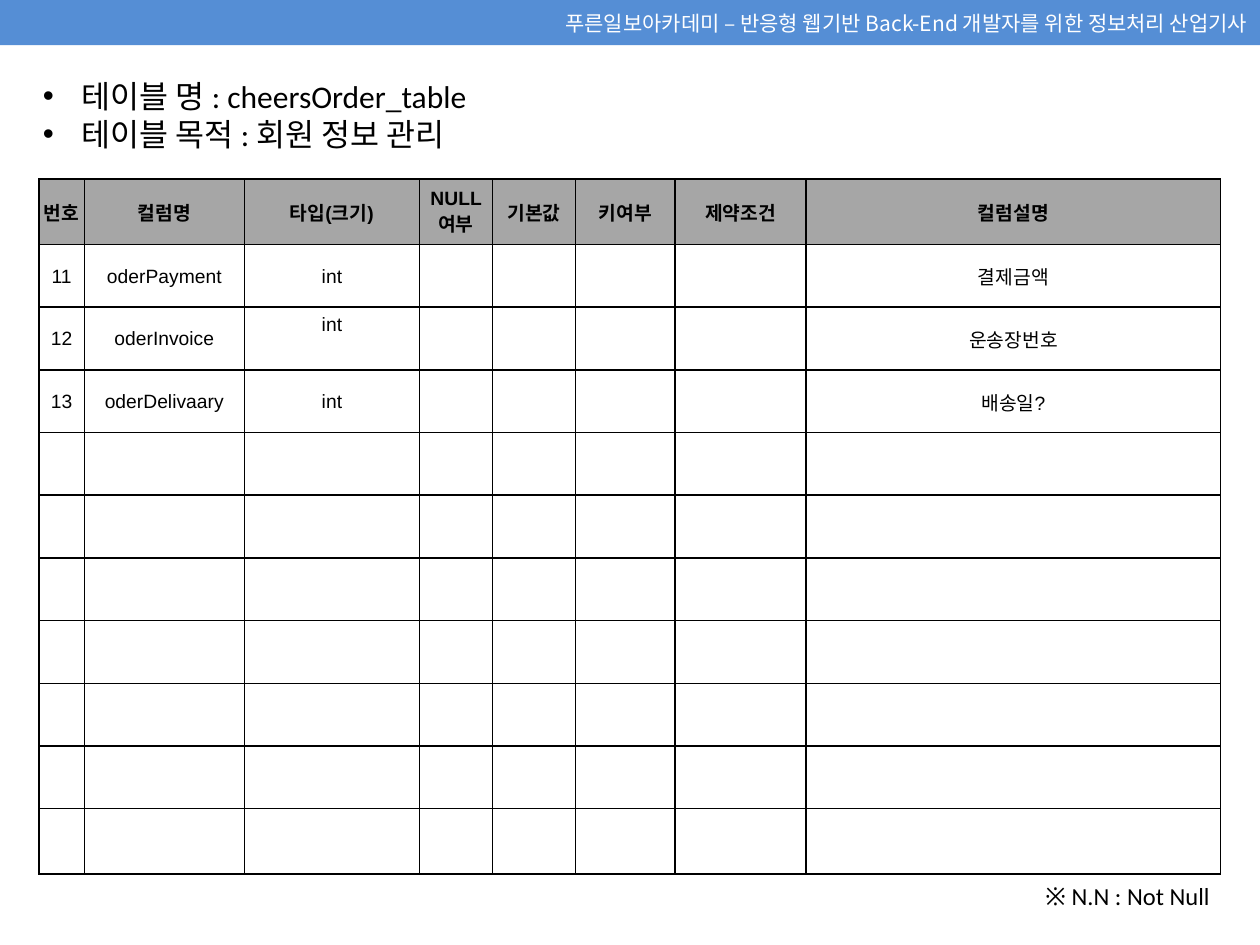
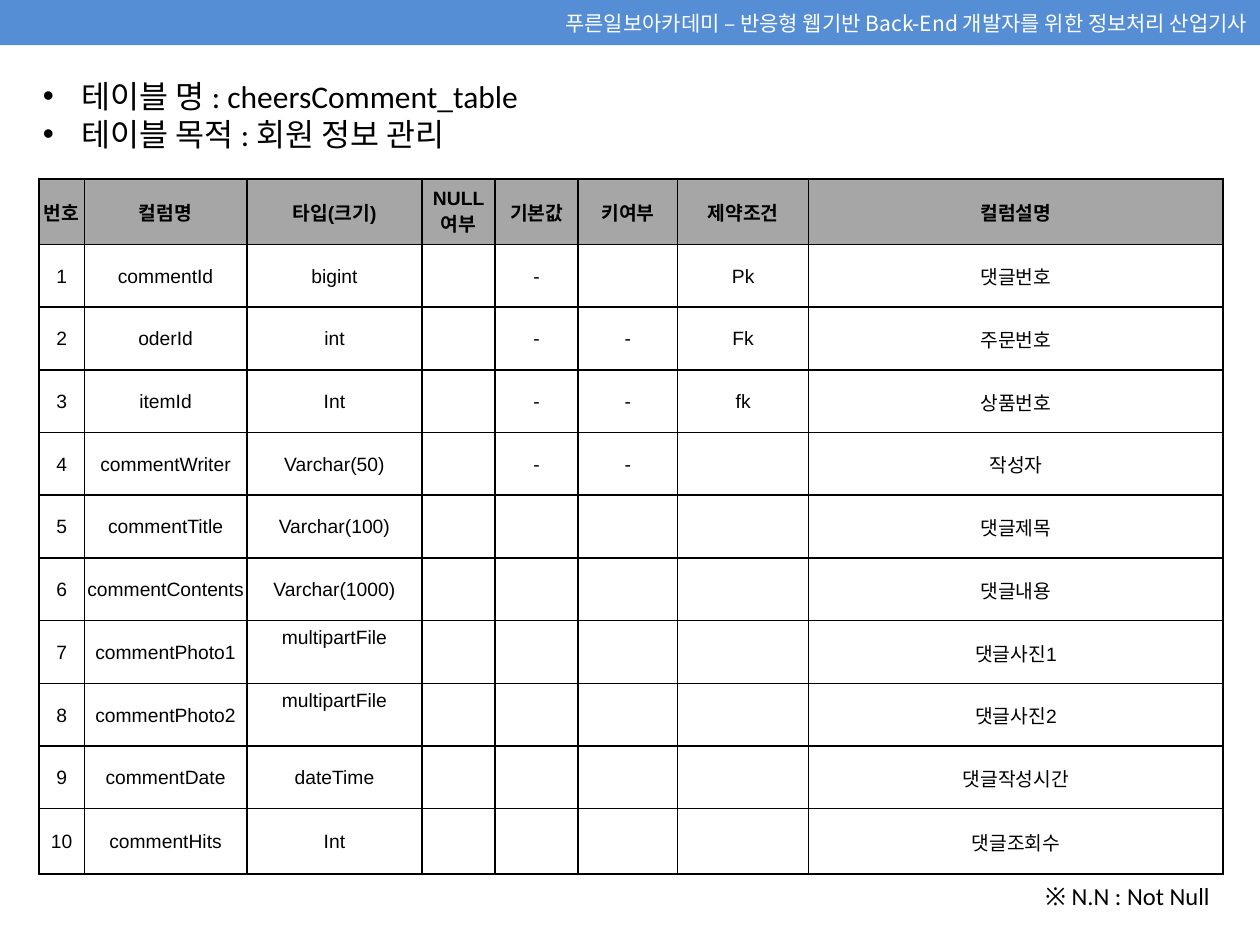
from lxml.etree import SubElement
from pptx import Presentation
from pptx.dml.color import RGBColor
from pptx.enum.shapes import MSO_SHAPE
from pptx.enum.text import MSO_ANCHOR as Anchor, MSO_AUTO_SIZE as AutoSize, PP_ALIGN as Align
from pptx.oxml.ns import qn
from pptx.util import Pt

PX = 9144  # 100 px to the inch
BLACK = RGBColor(0x00, 0x00, 0x00)
WHITE = RGBColor(0xFF, 0xFF, 0xFF)
BAND_BLUE = RGBColor(0x55, 0x8E, 0xD5)
HEADER_GREY = RGBColor(0xA6, 0xA6, 0xA6)
KOREAN_FONT = "Noto Sans CJK KR"

BAND_TEXT = "푸른일보아카데미 – 반응형 웹기반 Back-End 개발자를 위한 정보처리 산업기사"
PURPOSE = "테이블 목적 : 회원 정보 관리"
FOOTNOTE = "※ N.N : Not Null"
HEADERS = ["번호", "컬럼명", "타입(크기)", "NULL 여부", "기본값", "키여부", "제약조건", "컬럼설명"]
BODY_ROWS = 10
TABLE_HEIGHT, EDGE_ROW_HEIGHT = 552, 52

# Table name, width of the name column, rows
TABLES = [
    ("cheersOrder_table", 127, [
        ["11", "oderPayment", "int", "", "", "", "", "결제금액"],
        ["12", "oderInvoice", "int", "", "", "", "", "운송장번호"],
        ["13", "oderDelivaary", "int", "", "", "", "", "배송일?"],
    ]),
    ("cheersComment_table", 129, [
        ["1", "commentId", "bigint", "", "-", "", "Pk", "댓글번호"],
        ["2", "oderId", "int", "", "-", "-", "Fk", "주문번호"],
        ["3", "itemId", "Int", "", "-", "-", "fk", "상품번호"],
        ["4", "commentWriter", "Varchar(50)", "", "-", "-", "", "작성자"],
        ["5", "commentTitle", "Varchar(100)", "", "", "", "", "댓글제목"],
        ["6", "commentContents", "Varchar(1000)", "", "", "", "", "댓글내용"],
        ["7", "commentPhoto1", "multipartFile", "", "", "", "", "댓글사진1"],
        ["8", "commentPhoto2", "multipartFile", "", "", "", "", "댓글사진2"],
        ["9", "commentDate", "dateTime", "", "", "", "", "댓글작성시간"],
        ["10", "commentHits", "Int", "", "", "", "", "댓글조회수"],
    ]),
]
RAISED_TYPES = {("12", "int"), ("7", "multipartFile"), ("8", "multipartFile")}


def format_text(text_frame, font_name, size, color, align, bold=False):
    for paragraph in text_frame.paragraphs:
        paragraph.alignment = align
        for run in paragraph.runs:
            font = run.font
            font.name, font.size, font.bold = font_name, Pt(size), bold
            font.color.rgb = color
            SubElement(font._element, qn("a:ea"), typeface=KOREAN_FONT)


def add_borders(cell):
    properties = cell._tc.get_or_add_tcPr()
    for side in ("a:lnL", "a:lnR", "a:lnT", "a:lnB"):
        line = SubElement(properties, qn(side), w=str(Pt(1)))
        fill = SubElement(line, qn("a:solidFill"))
        SubElement(fill, qn("a:srgbClr"), val=str(BLACK))


presentation = Presentation()
presentation.slide_width, presentation.slide_height = 1000 * PX, 750 * PX
layout = presentation.slide_layouts[1]
slides = [presentation.slides.add_slide(layout) for _ in TABLES]

# Shared band, drawn once and moved to the layout
band = slides[0].shapes.add_shape(MSO_SHAPE.RECTANGLE, 0, 0, 1000 * PX, 36 * PX)
band.shadow.inherit = False
band.fill.solid()
band.fill.fore_color.rgb = BAND_BLUE
band.line.fill.background()
band.text_frame.text = BAND_TEXT
band.text_frame.vertical_anchor = Anchor.MIDDLE
format_text(band.text_frame, KOREAN_FONT, 12, WHITE, Align.RIGHT)
layout.shapes.element.append(band.element)

for slide, (table_name, name_width, records) in zip(slides, TABLES):
    # Table name and purpose
    title = slide.shapes.title.element
    title.getparent().remove(title)
    body = slide.placeholders[1]
    body.left, body.top, body.width, body.height = 24 * PX, 56 * PX, 949 * PX, 71 * PX
    body.text_frame.text = f"테이블 명 : {table_name}\n{PURPOSE}"
    body.text_frame.auto_size = AutoSize.SHAPE_TO_FIT_TEXT
    body.text_frame.vertical_anchor = Anchor.TOP
    format_text(body.text_frame, "Calibri", 18, BLACK, Align.LEFT)
    for paragraph in body.text_frame.paragraphs:
        paragraph.space_before = Pt(0)
        properties = paragraph._p.get_or_add_pPr()
        properties.set("marL", str(31 * PX))
        properties.set("indent", str(-31 * PX))

    # Column definitions
    column_widths = [36, name_width, 139, 58, 66, 79, 104, 329]
    table = slide.shapes.add_table(
        BODY_ROWS + 1, len(HEADERS), 31 * PX, 142 * PX,
        sum(column_widths) * PX, TABLE_HEIGHT * PX).table
    table.first_row = table.horz_banding = False
    for column, width in zip(table.columns, column_widths):
        column.width = width * PX
    for index, row in enumerate(table.rows):
        if index in (0, BODY_ROWS):
            row.height = EDGE_ROW_HEIGHT * PX
        else:
            row.height = (TABLE_HEIGHT - 2 * EDGE_ROW_HEIGHT) * PX // (BODY_ROWS - 1)

    blank_rows = [[""] * len(HEADERS)] * (BODY_ROWS - len(records))
    for row_index, values in enumerate([HEADERS] + records + blank_rows):
        is_header = row_index == 0
        for column_index, value in enumerate(values):
            cell = table.cell(row_index, column_index)
            add_borders(cell)
            if is_header:
                cell.fill.solid()
                cell.fill.fore_color.rgb = HEADER_GREY
            else:
                cell.fill.background()
            cell.vertical_anchor = Anchor.MIDDLE
            cell.margin_left = cell.margin_right = cell.margin_top = PX
            raised = column_index == 2 and (values[0], value) in RAISED_TYPES
            cell.margin_bottom = 23 * PX if raised else 0
            if value:
                cell.text_frame.text = value
                format_text(cell.text_frame, "Arial", 11, BLACK, Align.CENTER, is_header)

    # Footnote
    note = slide.shapes.add_textbox(815 * PX, 694 * PX, 155 * PX, 34 * PX)
    note.text_frame.word_wrap = True
    note.text_frame.auto_size = AutoSize.SHAPE_TO_FIT_TEXT
    note.text_frame.text = FOOTNOTE
    format_text(note.text_frame, "Calibri", 14, BLACK, Align.RIGHT)

presentation.save("out.pptx")
